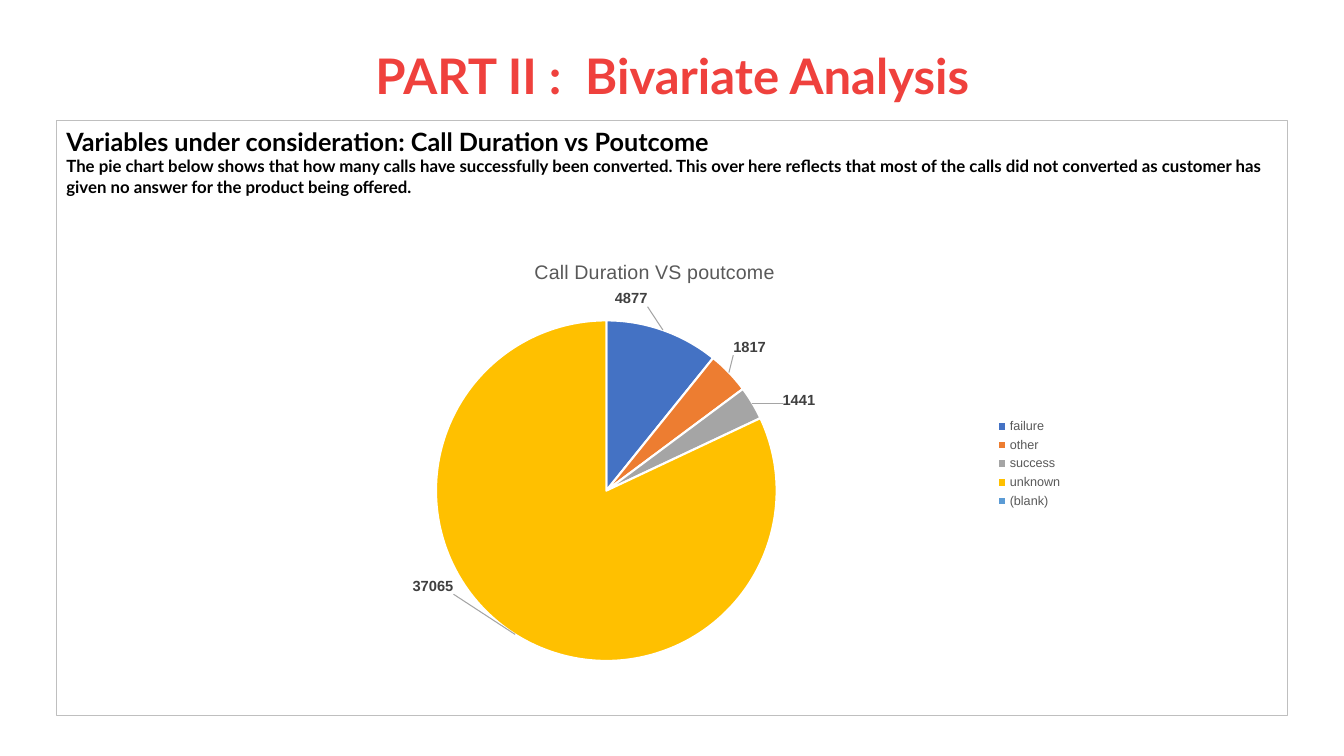
from lxml.etree import SubElement
from pptx import Presentation
from pptx.chart.data import CategoryChartData
from pptx.dml.color import RGBColor
from pptx.enum.chart import XL_CHART_TYPE, XL_LABEL_POSITION, XL_LEGEND_POSITION
from pptx.enum.shapes import MSO_SHAPE
from pptx.enum.text import MSO_ANCHOR, PP_ALIGN
from pptx.oxml import parse_xml
from pptx.oxml.ns import nsdecls, qn
from pptx.util import Inches, Pt

RED = RGBColor(0xEF, 0x41, 0x3D)
BLACK = RGBColor(0, 0, 0)
WHITE = RGBColor(255, 255, 255)
BORDER = RGBColor(0xBF, 0xBF, 0xBF)
GRAY = RGBColor(0x59, 0x59, 0x59)
LABEL = RGBColor(0x40, 0x40, 0x40)
BLUE = RGBColor(0x44, 0x72, 0xC4)
ORANGE = RGBColor(0xED, 0x7D, 0x31)
SILVER = RGBColor(0xA5, 0xA5, 0xA5)
GOLD = RGBColor(0xFF, 0xC0, 0x00)
SKY = RGBColor(0x5B, 0x9B, 0xD5)

# outcome, calls, slice colour, label shift as a share of the chart size
OUTCOMES = [
    ("failure", 4877, BLUE, (-0.06, -0.04)),
    ("other", 1817, ORANGE, (0, -0.03)),
    ("success", 1441, SILVER, (0.03, 0.02)),
    ("unknown", 37065, GOLD, (-0.07, -0.14)),
    ("(blank)", 0, SKY, None),
]


def manual_layout(**settings):
    """Build a c:layout element from its manual settings, in schema order."""
    layout = parse_xml(f"<c:layout {nsdecls('c')}/>")
    manual = SubElement(layout, qn("c:manualLayout"))
    for name, value in settings.items():
        SubElement(manual, qn(f"c:{name}")).set("val", str(value))
    return layout


def set_font(font, name, size, color, bold):
    font.name, font.size, font.bold = name, Pt(size), bold
    font.color.rgb = color


class SlideBuilder:
    text_font = "Lato"
    chart_font = "Arial"

    def __init__(self, page):
        self.page = page

    def heading(self, text, left, top, width, height):
        box = self.page.shapes.add_textbox(
            Inches(left), Inches(top), Inches(width), Inches(height))
        frame = box.text_frame
        frame.word_wrap = True
        frame.vertical_anchor = MSO_ANCHOR.MIDDLE
        para = frame.paragraphs[0]
        para.text = text
        para.alignment = PP_ALIGN.CENTER
        para.line_spacing = 0.9
        set_font(para.font, self.text_font, 35, RED, True)

    def panel(self, lines, left, top, width, height):
        """Draw an outlined box holding (text, size) lines."""
        box = self.page.shapes.add_shape(
            MSO_SHAPE.RECTANGLE, Inches(left), Inches(top), Inches(width), Inches(height))
        box.shadow.inherit = False
        box.fill.background()
        box.line.color.rgb = BORDER
        box.line.width = Pt(0.75)
        frame = box.text_frame
        frame.word_wrap = True
        frame.vertical_anchor = MSO_ANCHOR.TOP
        for index, (text, size) in enumerate(lines):
            para = frame.add_paragraph() if index else frame.paragraphs[0]
            para.text = text
            para.alignment = PP_ALIGN.LEFT
            set_font(para.font, self.text_font, size, BLACK, True)

    def pie(self, title, outcomes, left, top, width, height):
        data = CategoryChartData()
        data.categories = [name for name, *_ in outcomes]
        data.add_series("Series 1", [calls for _, calls, *_ in outcomes])
        chart = self.page.shapes.add_chart(
            XL_CHART_TYPE.PIE, Inches(left), Inches(top),
            Inches(width), Inches(height), data).chart
        set_font(chart.font, self.chart_font, 10, BLACK, False)

        chart.has_title = True
        para = chart.chart_title.text_frame.paragraphs[0]
        para.text = title
        set_font(para.font, self.chart_font, 14, GRAY, False)

        chart.has_legend = True
        chart.legend.position = XL_LEGEND_POSITION.RIGHT
        chart.legend.include_in_layout = False
        set_font(chart.legend.font, self.chart_font, 9, GRAY, False)

        plot_area = chart.plots[0]._element.getparent()
        for layout in plot_area.findall(qn("c:layout")):
            plot_area.remove(layout)
        plot_area.insert(0, manual_layout(
            layoutTarget="inner", xMode="edge", yMode="edge",
            x=0.238, y=0.177, w=0.408, h=0.768))
        chart.plots[0].vary_by_categories = True
        self.slices(chart.plots[0].series[0], outcomes)

    def slices(self, series, outcomes):
        for index, (_, _, color, shift) in enumerate(outcomes):
            point = series.points[index]
            point.format.fill.solid()
            point.format.fill.fore_color.rgb = color
            point.format.line.color.rgb = WHITE
            point.format.line.width = Pt(1.5)
            if shift:
                label = point.data_label
                set_font(label.font, self.chart_font, 10.5, LABEL, True)
                label.position = XL_LABEL_POSITION.OUTSIDE_END
        labels = series.data_labels
        labels.show_value = False
        shifts = [shift for *_, shift in outcomes if shift]
        for label, (x, y) in zip(labels._element.findall(qn("c:dLbl")), shifts):
            label.insert(1, manual_layout(x=x, y=y))
        leader_flag = labels._element.find(qn("c:showLeaderLines"))
        leader_flag.set("val", "1")
        leader_flag.addnext(parse_xml(
            f"<c:leaderLines {nsdecls('c', 'a')}><c:spPr><a:ln w='9525'><a:solidFill>"
            f"<a:srgbClr val='{SILVER}'/></a:solidFill></a:ln></c:spPr></c:leaderLines>"))


def main():
    deck = Presentation()
    deck.slide_width, deck.slide_height = Inches(13.33), Inches(7.5)
    slide = SlideBuilder(deck.slides.add_slide(deck.slide_layouts[6]))
    slide.panel([
        ("Variables under consideration: Call Duration vs Poutcome", 18),
        ("The pie chart below shows that how many calls have successfully been converted. "
         "This over here reflects that most of the calls did not converted as customer has "
         "given no answer for the product being offered.", 12),
    ], 0.56, 1.2, 12.21, 5.9)
    slide.heading("PART II :  Bivariate Analysis", 0.92, 0.4, 11.5, 0.75)
    slide.pie("Call Duration VS poutcome", OUTCOMES, 2.35, 2.4, 8.29, 4.4)
    deck.save("out.pptx")


if __name__ == "__main__":
    main()
